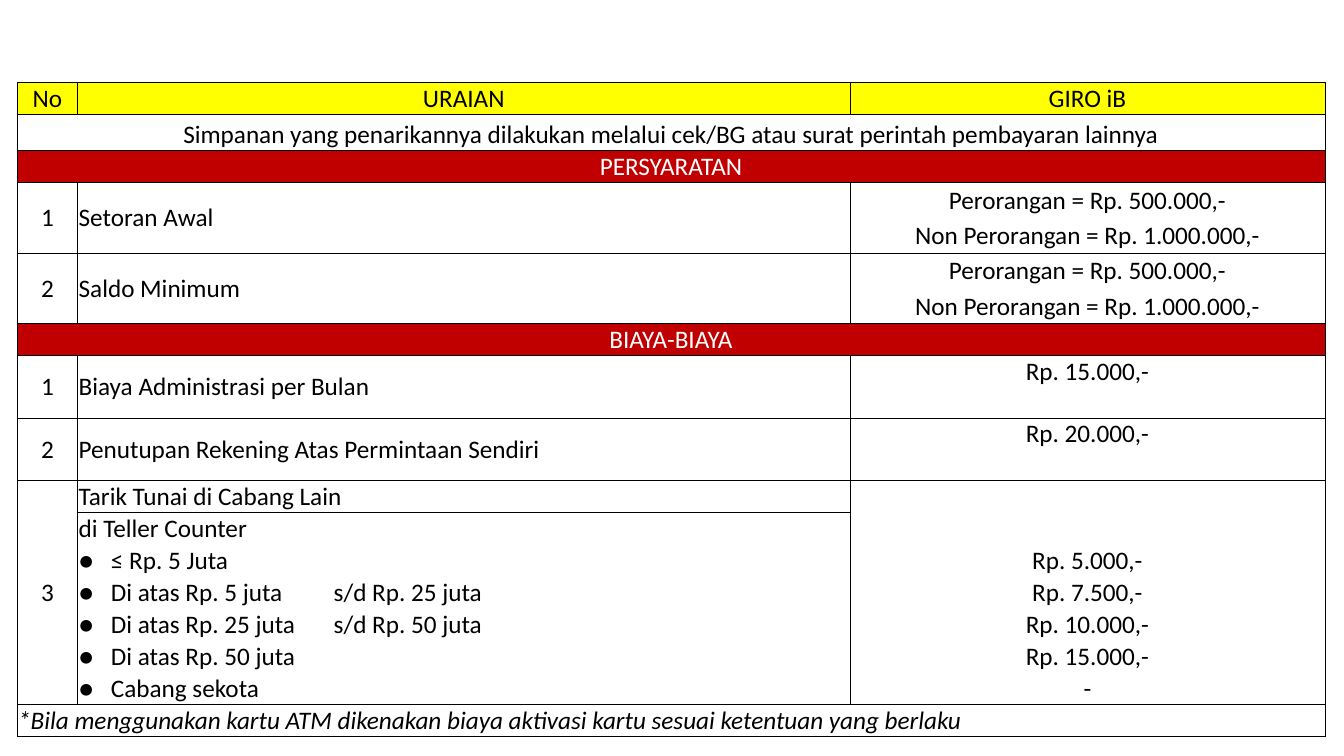
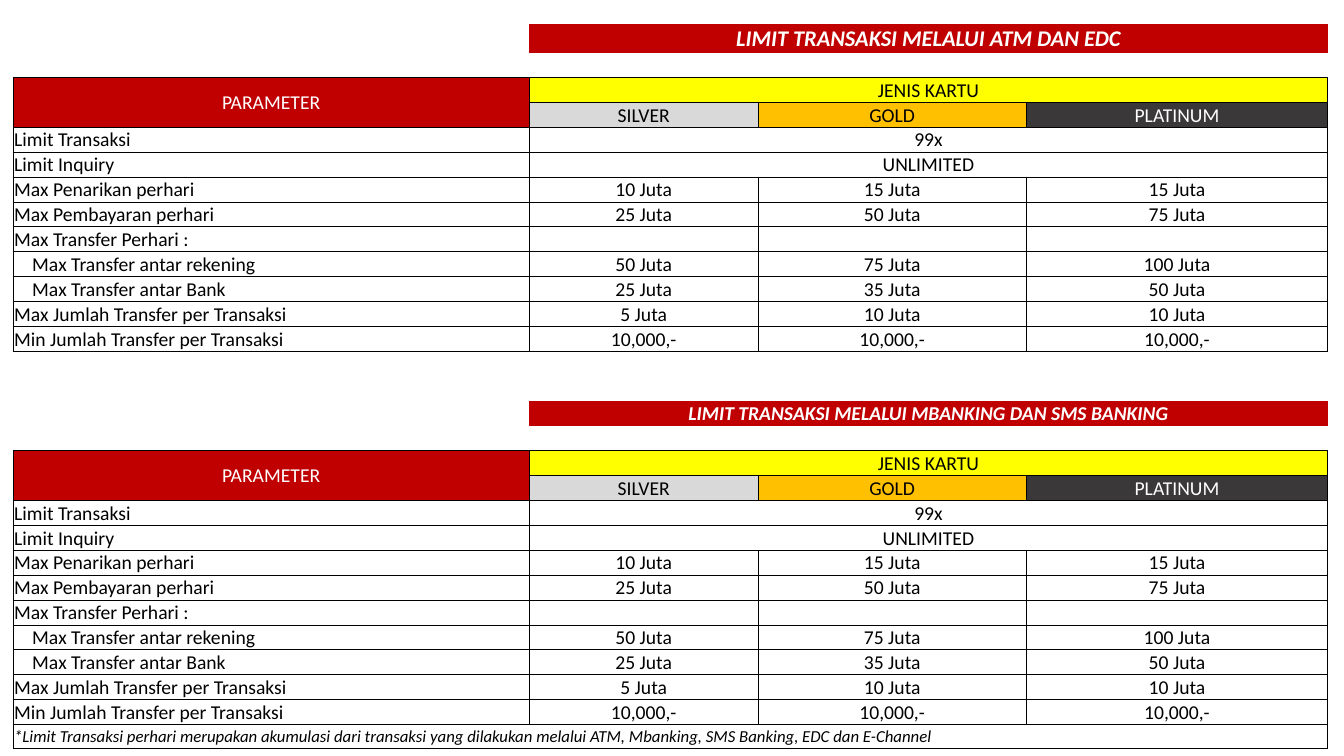
import lxml.etree
import pptx
import pptx.dml.color
import pptx.enum.text
import pptx.oxml.ns
import pptx.util

Inches = pptx.util.Inches
Pt = pptx.util.Pt
Align = pptx.enum.text.PP_ALIGN
Anchor = pptx.enum.text.MSO_ANCHOR

BLACK = "000000"
WHITE = "FFFFFF"
RED = "C00000"
YELLOW = "FFFF00"
CARD_COLORS = [("SILVER", "D9D9D9", BLACK), ("GOLD", "FFC000", BLACK),
               ("PLATINUM", "3A3838", WHITE)]


def color(value):
    return pptx.dml.color.RGBColor.from_string(value)


def add_element(parent, tag, **attributes):
    return lxml.etree.SubElement(parent, pptx.oxml.ns.qn(tag), **attributes)


class Deck:
    font_name = "Calibri"

    def __init__(self):
        self.presentation = pptx.Presentation()
        self.presentation.slide_width = Inches(13.33)
        self.presentation.slide_height = Inches(7.5)

    def add_slide(self):
        layout = self.presentation.slide_layouts[6]
        self.slide = self.presentation.slides.add_slide(layout)

    def add_table(self, left, top, widths, heights, size):
        self.size = size
        frame = self.slide.shapes.add_table(
            len(heights), len(widths), Inches(left), Inches(top),
            Inches(sum(widths)), Inches(sum(heights)))
        self.table = frame.table
        self.table.first_row = False
        self.table.horz_banding = False
        for column, width in zip(self.table.columns, widths):
            column.width = Inches(width)
        for row, height in zip(self.table.rows, heights):
            row.height = Inches(height)
        for cell in self.table.iter_cells():
            cell.margin_left = cell.margin_right = cell.margin_top = Inches(0.01)
            cell.margin_bottom = 0
            cell.fill.background()
            self.set_borders(cell, "LRTB")
            add_element(cell.text_frame.paragraphs[0]._p, "a:endParaRPr",
                        sz=str(size * 100))

    def set_borders(self, cell, sides):
        properties = cell._tc.get_or_add_tcPr()
        for position, side in enumerate("LRTB"):
            tag = "a:ln" + side
            for line in properties.findall(pptx.oxml.ns.qn(tag)):
                properties.remove(line)
            line = add_element(properties, tag, w=str(Pt(0.5)))
            if side in sides:
                fill = add_element(line, "a:solidFill")
                add_element(fill, "a:srgbClr", val=BLACK)
            else:
                add_element(line, "a:noFill")
            properties.insert(position, line)

    def set_cell(self, row, column, text="", rows=1, columns=1, fill=None,
                 ink=BLACK, sides="LRTB", align=Align.CENTER, anchor=Anchor.MIDDLE,
                 size=None, bold=False, italic=False, indent=0, bullet=False, tab=None):
        cell = self.table.cell(row, column)
        if rows * columns > 1:
            cell.merge(self.table.cell(row + rows - 1, column + columns - 1))
        for r in range(row, row + rows):
            for c in range(column, column + columns):
                self.set_borders(self.table.cell(r, c), sides)
        if fill:
            cell.fill.solid()
            cell.fill.fore_color.rgb = color(fill)
        cell.vertical_anchor = anchor
        paragraph = cell.text_frame.paragraphs[0]
        paragraph.text = text
        paragraph.alignment = align
        properties = paragraph._p.get_or_add_pPr()
        if indent:
            properties.set("marL", str(Inches(indent)))
        if bullet:
            properties.set("indent", str(-Inches(indent)))
            add_element(properties, "a:buFont", typeface=self.font_name)
            add_element(properties, "a:buChar", char="●")
        if tab:
            tabs = add_element(properties, "a:tabLst")
            add_element(tabs, "a:tab", pos=str(Inches(tab)), algn="l")
        for run in paragraph.runs:
            run.font.name = self.font_name
            run.font.size = Pt(size or self.size)
            run.font.bold = bold
            run.font.italic = italic
            run.font.color.rgb = color(ink)

    def set_label(self, row, column, text, **style):
        self.set_cell(row, column, text, align=Align.LEFT, **style)


def build_account_slide(deck):
    deck.add_slide()
    heights = ([0.31, 0.36, 0.31] + [0.35] * 4 + [0.31] + [0.62] * 2 + [0.31] * 2
               + [0.32] * 4 + [0.31] * 2)
    deck.add_table(0.17, 0.82, [0.6, 7.66, 4.71], heights, 18)
    for column, heading in enumerate(["No", "URAIAN", "GIRO iB"]):
        deck.set_cell(0, column, heading, fill=YELLOW, anchor=Anchor.BOTTOM)
    deck.set_cell(1, 0, "Simpanan yang penarikannya dilakukan melalui cek/BG atau surat "
                  "perintah pembayaran lainnya", columns=3, fill=WHITE,
                  anchor=Anchor.BOTTOM)
    for row, section in [(2, "PERSYARATAN"), (7, "BIAYA-BIAYA")]:
        deck.set_cell(row, 0, section, columns=3, fill=RED, ink=WHITE,
                      anchor=Anchor.BOTTOM)
    for number, label in enumerate(["Setoran Awal", "Saldo Minimum"], 1):
        row = 1 + 2 * number
        deck.set_cell(row, 0, str(number), rows=2)
        deck.set_label(row, 1, label, rows=2)
        deck.set_cell(row, 2, "Perorangan = Rp. 500.000,-", sides="LRT")
        deck.set_cell(row + 1, 2, "Non Perorangan = Rp. 1.000.000,-", sides="LRB")
    fees = [("Biaya Administrasi per Bulan", "Rp. 15.000,-"),
            ("Penutupan Rekening Atas Permintaan Sendiri", "Rp. 20.000,-")]
    for number, (label, fee) in enumerate(fees, 1):
        row = 7 + number
        deck.set_cell(row, 0, str(number))
        deck.set_label(row, 1, label)
        deck.set_cell(row, 2, fee, anchor=Anchor.TOP)
    deck.set_cell(10, 0, "3", rows=7)
    deck.set_label(10, 1, "Tarik Tunai di Cabang Lain")
    deck.set_cell(10, 2, rows=2, sides="LRT")
    deck.set_label(11, 1, "di Teller Counter", sides="LRT")
    withdrawals = [("≤ Rp. 5 Juta", "Rp. 5.000,-"),
                   ("Di atas Rp. 5 juta\ts/d Rp. 25 juta", "Rp. 7.500,-"),
                   ("Di atas Rp. 25 juta\ts/d Rp. 50 juta", "Rp. 10.000,-"),
                   ("Di atas Rp. 50 juta", "Rp. 15.000,-"),
                   ("Cabang sekota", "-")]
    for row, (label, fee) in enumerate(withdrawals, 12):
        sides = "LRB" if row == 16 else "LR"
        deck.set_label(row, 1, label, sides=sides, indent=0.32, bullet=True, tab=2.53)
        deck.set_cell(row, 2, fee, sides=sides)
    deck.set_label(17, 0, "*Bila menggunakan kartu ATM dikenakan biaya aktivasi kartu "
                   "sesuai ketentuan yang berlaku", columns=3, italic=True,
                   anchor=Anchor.BOTTOM)


def fill_limits(deck, top, title, title_size):
    deck.set_cell(top, 0, sides="")
    deck.set_cell(top, 1, title, columns=3, fill=RED, ink=WHITE, sides="",
                  size=title_size, bold=True, italic=True)
    for column in range(4):
        deck.set_cell(top + 1, column, sides="B")
    deck.set_cell(top + 2, 0, "PARAMETER", rows=2, fill=RED, ink=WHITE)
    deck.set_cell(top + 2, 1, "JENIS KARTU", columns=3, fill=YELLOW,
                  anchor=Anchor.BOTTOM)
    for column, (card, fill, ink) in enumerate(CARD_COLORS, 1):
        deck.set_cell(top + 3, column, card, fill=fill, ink=ink, anchor=Anchor.BOTTOM)
    limits = [("Limit Transaksi", 0, ["99x"]),
              ("Limit Inquiry", 0, ["UNLIMITED"]),
              ("Max Penarikan perhari", 0, ["10 Juta", "15 Juta", "15 Juta"]),
              ("Max Pembayaran perhari", 0, ["25 Juta", "50 Juta", "75 Juta"]),
              ("Max Transfer Perhari :", 0, []),
              ("Max Transfer antar rekening", 0.18, ["50 Juta", "75 Juta", "100 Juta"]),
              ("Max Transfer antar Bank", 0.18, ["25 Juta", "35 Juta", "50 Juta"]),
              ("Max Jumlah Transfer per Transaksi", 0, ["5 Juta", "10 Juta", "10 Juta"]),
              ("Min Jumlah Transfer per Transaksi", 0, ["10,000,-"] * 3)]
    for row, (label, indent, values) in enumerate(limits, top + 4):
        deck.set_label(row, 0, label, indent=indent, anchor=Anchor.BOTTOM)
        for column, value in enumerate(values, 1):
            deck.set_cell(row, column, value, columns=3 if len(values) == 1 else 1,
                          anchor=Anchor.BOTTOM)


def build_limits_slide(deck):
    deck.add_slide()
    deck.add_table(0.13, 0.24, [5.12, 2.27, 2.66, 2.99],
                   [0.28] + [0.24] * 28, 14)
    fill_limits(deck, 0, "LIMIT TRANSAKSI MELALUI ATM DAN EDC", 16)
    for column in range(4):
        deck.set_cell(13, column, sides="T")
        deck.set_cell(14, column, sides="")
    fill_limits(deck, 15, "LIMIT TRANSAKSI MELALUI MBANKING DAN SMS BANKING", 14)
    deck.set_label(28, 0, "*Limit Transaksi perhari merupakan akumulasi dari transaksi "
                   "yang dilakukan melalui ATM, Mbanking, SMS Banking, EDC dan E-Channel",
                   columns=4, size=12, italic=True)


def main():
    deck = Deck()
    build_account_slide(deck)
    build_limits_slide(deck)
    deck.presentation.save("out.pptx")


if __name__ == "__main__":
    main()
